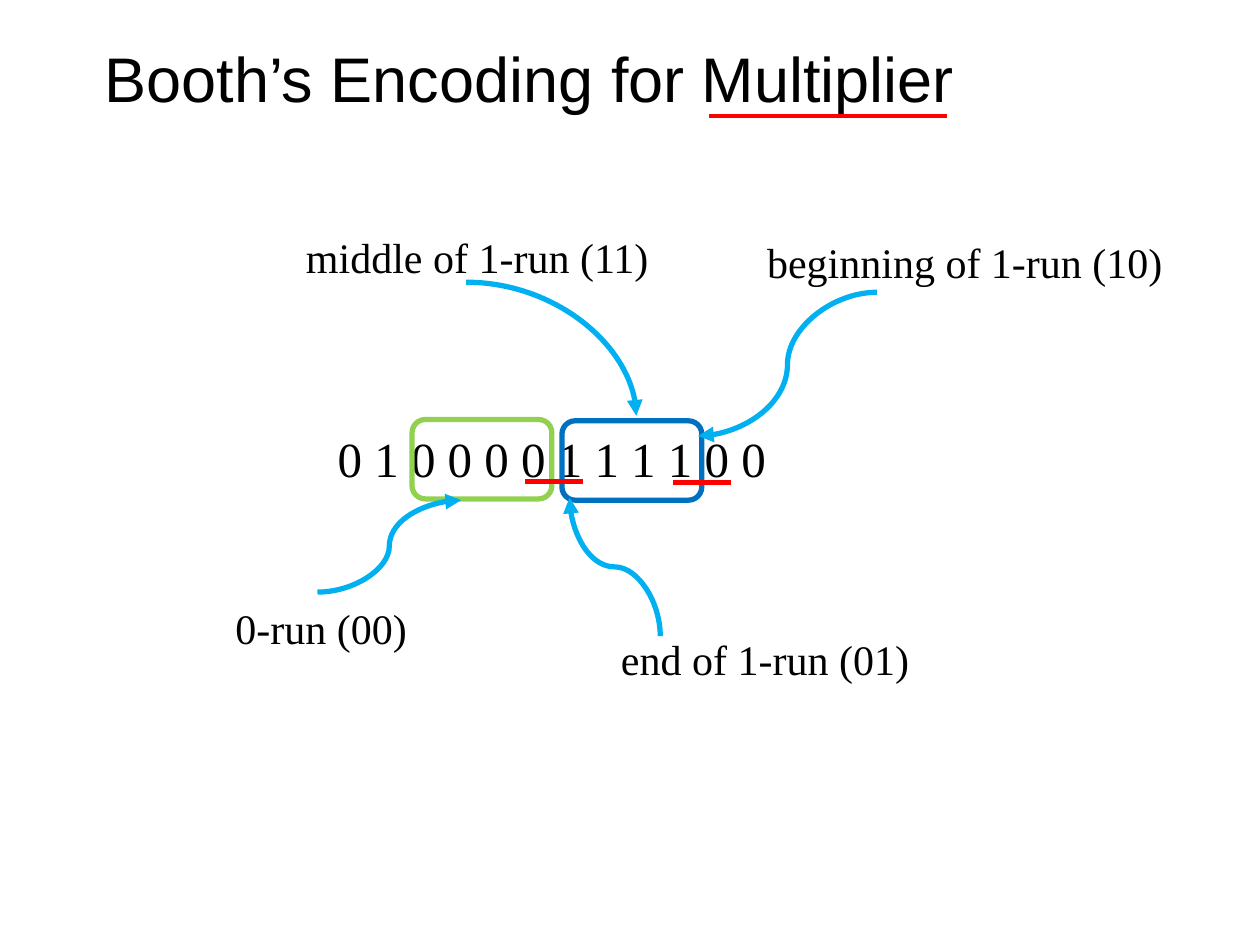
from typing import NamedTuple

from lxml import etree
from pptx import Presentation
from pptx.dml.color import RGBColor
from pptx.enum.shapes import MSO_CONNECTOR, MSO_SHAPE
from pptx.enum.text import MSO_ANCHOR, MSO_AUTO_SIZE, PP_ALIGN
from pptx.oxml.ns import qn
from pptx.util import Inches, Pt

ROUND = MSO_SHAPE.ROUNDED_RECTANGLE
CURVE, STRAIGHT = MSO_CONNECTOR.CURVE, MSO_CONNECTOR.STRAIGHT
SERIF, SANS = "Times New Roman", "Arial"
BLACK, RED, SKY, BLUE, GREEN = "000000", "FF0000", "00B0F0", "0070C0", "92D050"


class Label(NamedTuple):
    text: str
    x: float
    y: float
    w: float


class Frame(NamedTuple):
    x: float
    y: float
    color: str


class Arrow(NamedTuple):
    start: tuple[float, float]
    end: tuple[float, float]
    turn: int = 0
    bend: str = "curvedConnector3"


class Rule(NamedTuple):
    x: float
    y: float
    w: float
    width: float = 3


LABELS = [
    Label("beginning of 1-run (10)", 5.99, 1.83, 3.56),
    Label("middle of 1-run (11)", 2.33, 1.79, 2.99),
    Label("end of 1-run (01)", 4.83, 4.98, 2.76),
    Label("0-run (00)", 1.77, 4.73, 1.57),
]
FRAMES = [Frame(4.46, 3.34, BLUE), Frame(3.27, 3.33, GREEN)]
# Ends are given before the turn, which is about the middle
ARROWS = [
    Arrow((3.7, 2.24), (5.05, 3.3), bend="curvedConnector2"),
    Arrow((6.96, 2.32), (5.54, 3.46)),
    Arrow((4.33, 4.86), (5.43, 4.14), turn=270),
    Arrow((2.52, 4.7), (3.66, 3.97)),
]
RULES = [Rule(4.17, 3.82, 0.46), Rule(5.34, 3.83, 0.46), Rule(5.63, 0.92, 1.89, 2.25)]


def paint(color: str) -> RGBColor:
    return RGBColor.from_string(color)


def place(shape, x: float, y: float, w: float, h: float) -> None:
    shape.left, shape.top = Inches(x), Inches(y)
    shape.width, shape.height = Inches(w), Inches(h)


def write(shape, text: str, size: float, face: str):
    frame = shape.text_frame
    frame.word_wrap = True
    frame.auto_size = MSO_AUTO_SIZE.NONE
    para = frame.paragraphs[0]
    para.text = text
    para.alignment = PP_ALIGN.LEFT
    para.font.size, para.font.name = Pt(size), face
    para.font.color.rgb = paint(BLACK)
    return para


def add_label(slide, label: Label) -> None:
    box = slide.shapes.add_textbox(
        Inches(label.x), Inches(label.y), Inches(label.w), Inches(0.5))
    write(box, label.text, 24, SERIF)


def add_frame(slide, frame: Frame) -> None:
    box = slide.shapes.add_shape(
        ROUND, Inches(frame.x), Inches(frame.y), Inches(1.11), Inches(0.63))
    box.shadow.inherit = False
    box.fill.background()
    box.line.color.rgb = paint(frame.color)
    box.line.width = Pt(3)


def add_line(slide, kind, start, end, color: str, width: float):
    line = slide.shapes.add_connector(kind, *map(Inches, start + end))
    line.line.color.rgb = paint(color)
    line.line.width = Pt(width)
    etree.SubElement(line._element.spPr, qn("a:effectLst"))
    return line


def add_arrow(slide, arrow: Arrow) -> None:
    line = add_line(slide, CURVE, arrow.start, arrow.end, SKY, 3)
    props = line._element.spPr
    props.find(qn("a:prstGeom")).set("prst", arrow.bend)
    if arrow.turn:
        props.find(qn("a:xfrm")).set("rot", str(arrow.turn * 60000))
    etree.SubElement(props.find(qn("a:ln")), qn("a:tailEnd"), type="triangle")


def main() -> None:
    deck = Presentation()
    deck.slide_width, deck.slide_height = Inches(10), Inches(7.5)
    slide = deck.slides.add_slide(deck.slide_layouts[1])

    # Title
    title = slide.shapes.title
    place(title, 0.73, 0.13, 8.84, 0.96)
    write(title, "Booth’s Encoding for Multiplier", 36, SANS)
    title.text_frame.vertical_anchor = MSO_ANCHOR.MIDDLE

    # Bit string
    bits = slide.placeholders[1]
    place(bits, 2.48, 3.4, 4.09, 0.71)
    para = write(bits, "0 1 0 0 0 0 1 1 1 1 0 0", 28, SERIF)
    para.line_spacing, para.space_before = 0.9, Pt(5.6)
    bits.text_frame.margin_left = bits.text_frame.margin_right = Inches(0.2)
    props = para._p.get_or_add_pPr()
    props.set("marL", "0")
    props.set("indent", "0")
    mark = etree.Element(qn("a:buNone"))
    props.find(qn("a:spcBef")).addnext(mark)

    # Runs with their labels, arrows and underlines
    for frame in FRAMES:
        add_frame(slide, frame)
    for label in LABELS:
        add_label(slide, label)
    for arrow in ARROWS:
        add_arrow(slide, arrow)
    for rule in RULES:
        add_line(slide, STRAIGHT, (rule.x, rule.y), (rule.x + rule.w, rule.y),
                 RED, rule.width)

    deck.save("out.pptx")


if __name__ == "__main__":
    main()
